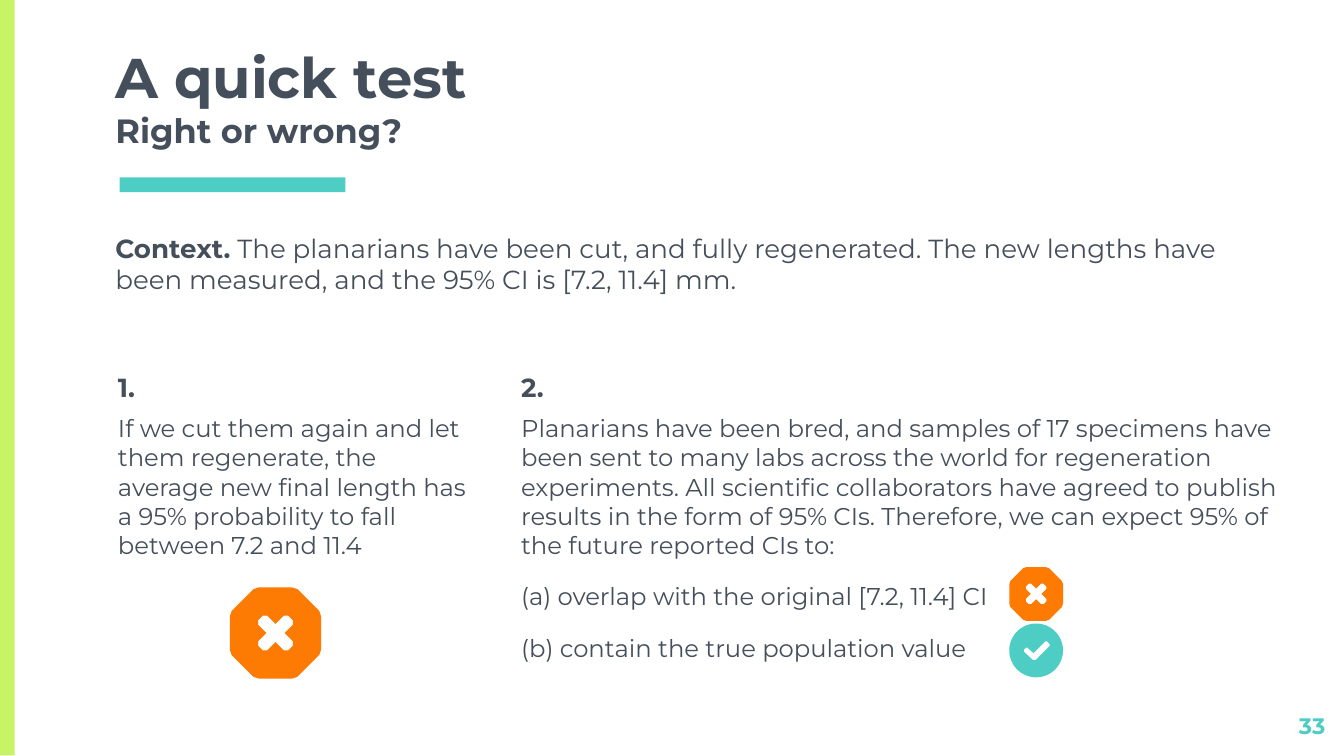
from math import cos, pi, sin

from pptx import Presentation
from pptx.dml.color import RGBColor
from pptx.enum.shapes import MSO_SHAPE as SHAPE
from pptx.enum.text import MSO_ANCHOR as ANCHOR, PP_ALIGN as ALIGN
from pptx.util import Inches, Pt

DARK, TEAL, LIME, ORANGE = "454F5B", "4ECDC4", "C7F464", "FD7A03"

prs = Presentation()
prs.slide_width = Inches(10)
prs.slide_height = prs.slide_width * 9 // 16
s = prs.slides.add_slide(prs.slide_layouts[6])


def paint(sp, color):
    sp.fill.solid()
    sp.fill.fore_color.rgb = RGBColor.from_string(color)
    sp.line.fill.background()
    sp.shadow.inherit = False


def add_text(box, paragraphs, color=DARK, inset=0.1):
    """Add a text box; each paragraph is (space before, [(text, size, bold), ...])."""
    tf = s.shapes.add_textbox(*map(Inches, box)).text_frame
    tf.word_wrap = True
    tf.margin_top = tf.margin_bottom = Inches(inset)
    for i, (space, runs) in enumerate(paragraphs):
        p = tf.add_paragraph() if i else tf.paragraphs[0]
        p.space_before = Pt(space)
        for text, size, bold in runs:
            if text == "\n":
                p.add_line_break()
                continue
            r = p.add_run()
            r.text = text
            r.font.name, r.font.size, r.font.bold = "Montserrat", Pt(size), bold
            r.font.color.rgb = RGBColor.from_string(color)
    return tf


# Side band and title rule
for box, color in [((0, 0, 0.11, 5.62), LIME), ((0.89, 1.32, 1.68, 0.11), TEAL)]:
    paint(s.shapes.add_shape(SHAPE.RECTANGLE, *map(Inches, box)), color)

# Title, page number and context
tf = add_text((0.76, 0.68, 8.49, 0.54), [(0, [
    ("A quick test", 30, True), ("\n", 30, True), ("Right or wrong?", 18, True)])])
tf.vertical_anchor = ANCHOR.BOTTOM
tf = add_text((9.36, 5.2, 0.6, 0.34), [(0, [("33", 12, True)])], TEAL)
tf.paragraphs[0].alignment = ALIGN.RIGHT
add_text((0.76, 1.68, 8.74, 0.57), [(0, [
    ("Context.", 14, True),
    (" The planarians have been cut, and fully regenerated. The new lengths have "
     "been measured, and the 95% CI is [7.2, 11.4] mm.", 14, False)])], inset=0.05)

# Numbered statements
statements = [
    (0.78, 2.8, "1.", [
        (6, "If we cut them again and let them regenerate, the average new final length "
            "has a 95% probability to fall between 7.2 and 11.4")]),
    (3.78, 5.86, "2.", [
        (6, "Planarians have been bred, and samples of 17 specimens have been sent to many "
            "labs across the world for regeneration experiments. All scientific "
            "collaborators have agreed to publish results in the form of 95% CIs. "
            "Therefore, we can expect 95% of the future reported CIs to:"),
        (12, "(a) overlap with the original [7.2, 11.4] CI"),
        (12, "(b) contain the true population value")]),
]
for left, width, number, body in statements:
    add_text((left, 2.66, width, 2.52),
             [(0, [(number, 14, True)])]
             + [(space, [(text, 13, False)]) for space, text in body])

# Icon outlines around a centre at (0, 0), one unit wide; inner contours are holes
octagon, cross = [], []
octagon_side = [(0.18, -0.5), (0.24, -0.48), (0.48, -0.24), (0.5, -0.18)]
cross_arm = [(0, -0.1), (0.09, -0.19), (0.14, -0.19), (0.19, -0.14), (0.19, -0.09)]
for turn in range(4):
    octagon += octagon_side
    cross += cross_arm
    octagon_side = [(-y, x) for x, y in octagon_side]
    cross_arm = [(-y, x) for x, y in cross_arm]
circle = [(cos(i * pi / 36) / 2, sin(i * pi / 36) / 2) for i in range(72)]
check = [(0.17, -0.17), (0.2, -0.17), (0.25, -0.12), (0.25, -0.08), (-0.01, 0.18),
         (-0.06, 0.18), (-0.23, 0.02), (-0.23, -0.01), (-0.19, -0.05),
         (-0.16, -0.05), (-0.05, 0.05)]

icons = [
    (7.71, 4.84, 0.4, TEAL, circle, check),
    (2.05, 4.71, 0.68, ORANGE, octagon, cross),
    (7.71, 4.42, 0.4, ORANGE, octagon, cross),
]
for cx, cy, size, color, outline, hole in icons:
    rim, mark = [[(Inches(cx + x * size), Inches(cy + y * size)) for x, y in points]
                 for points in (outline, hole)]
    builder = s.shapes.build_freeform(*rim[0])
    builder.add_line_segments(rim[1:])
    builder.move_to(*mark[0])
    builder.add_line_segments(mark[1:])
    paint(builder.convert_to_shape(), color)

prs.save("out.pptx")
